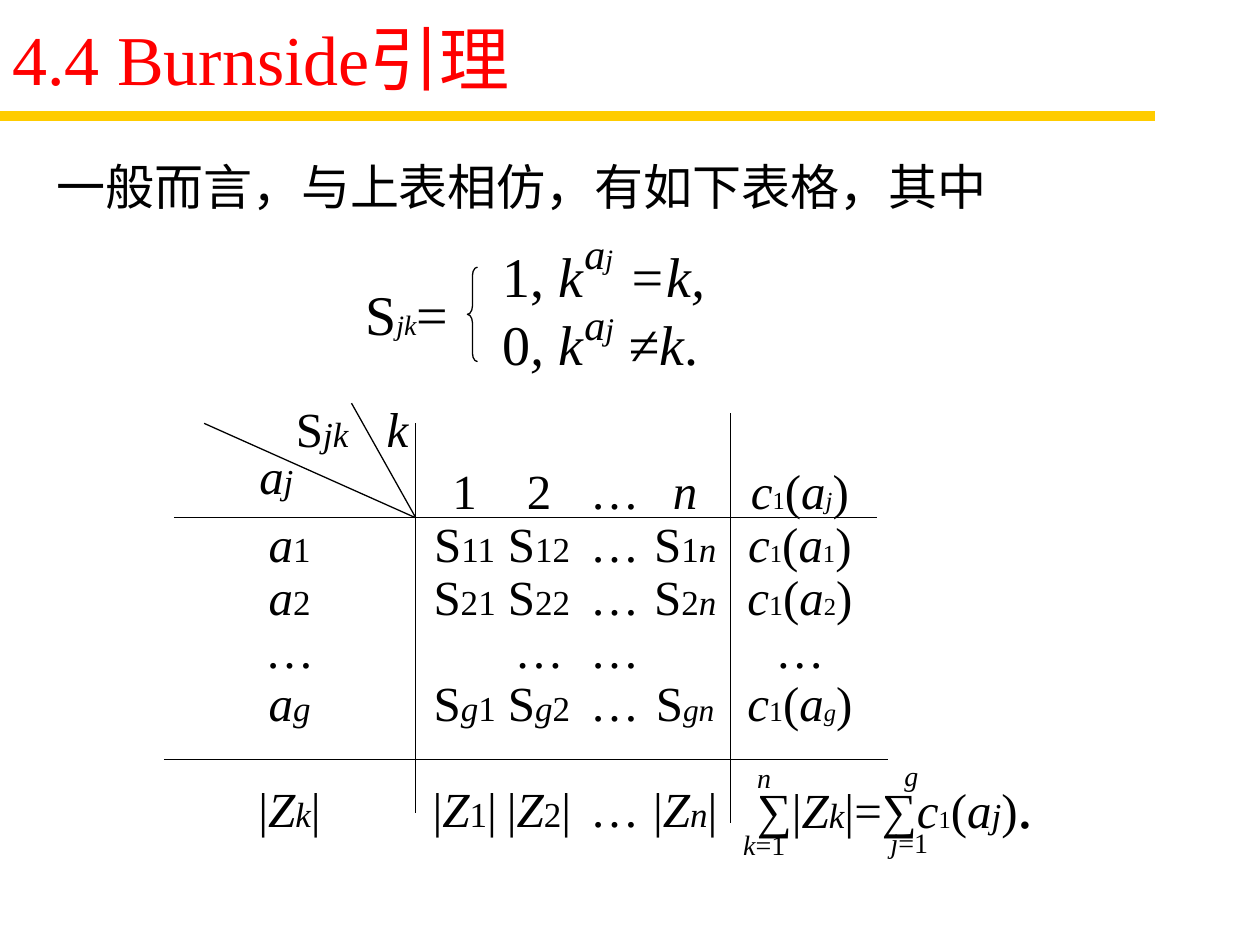
from lxml import etree
from pptx import Presentation
from pptx.dml.color import RGBColor
from pptx.enum.shapes import MSO_CONNECTOR, MSO_SHAPE
from pptx.enum.text import MSO_ANCHOR
from pptx.oxml.ns import qn
from pptx.util import Inches, Pt

FONT = "Times New Roman"
BLACK, RED, GOLD = "000000", "FF0000", "FFCC00"
BODY, SUB, SMALL = 28, 20, 14
TAB = ("\t", BODY, False)


def color(hex_code):
    return RGBColor.from_string(hex_code)


def upright(text, size=BODY):
    return (text, size, False)


def italic(text, size=BODY):
    return (text, size, True)


def fixed_points(a, size=SMALL, ones=SMALL):
    """Runs for c1(a_x), where a is the subscript run."""
    return [italic("c"), upright("1", ones), upright("("), italic("a"),
            (a[0], size, a[2]), upright(")")]


def orbit(index):
    """Runs for |Z_index|."""
    return [upright("|"), italic("Z"), index, upright("|")]


def row(*cells):
    """Put a tab before each cell of a table row."""
    return [run for cell in cells for run in (TAB, *cell)]


def add_tabs(paragraph, stops, align):
    tab_list = etree.SubElement(paragraph._p.get_or_add_pPr(), qn("a:tabLst"))
    for stop in stops:
        etree.SubElement(tab_list, qn("a:tab"), pos=str(Inches(stop)), algn=align)


def add_text(slide, left, top, width, height, lines, *, hex_code=BLACK,
             spacing=None, stops=(), align="l", last_gap=0, anchor=MSO_ANCHOR.TOP):
    box = slide.shapes.add_textbox(Inches(left), Inches(top), Inches(width), Inches(height))
    frame = box.text_frame
    frame.word_wrap = True
    frame.vertical_anchor = anchor
    for number, runs in enumerate(lines):
        paragraph = frame.paragraphs[0] if number == 0 else frame.add_paragraph()
        if spacing:
            paragraph.line_spacing = spacing
        if last_gap and number == len(lines) - 1:
            paragraph.space_before = Pt(last_gap)
        if stops:
            add_tabs(paragraph, stops, align)
        for text, size, slanted in runs:
            run = paragraph.add_run()
            run.text = text
            run.font.name = FONT
            run.font.size = Pt(size)
            run.font.italic = slanted
            run.font.color.rgb = color(hex_code)


def add_line(slide, x1, y1, x2, y2, hex_code=BLACK, weight=0.75):
    line = slide.shapes.add_connector(
        MSO_CONNECTOR.STRAIGHT, Inches(x1), Inches(y1), Inches(x2), Inches(y2))
    line.line.color.rgb = color(hex_code)
    line.line.width = Pt(weight)
    etree.SubElement(line._element.spPr, qn("a:effectLst"))


def add_brace(slide, left, top, width, height):
    brace = slide.shapes.add_shape(
        MSO_SHAPE.LEFT_BRACE, Inches(left), Inches(top), Inches(width), Inches(height))
    brace.adjustments[0] = 0.83
    brace.fill.background()
    brace.line.color.rgb = color(BLACK)
    brace.line.width = Pt(0.75)
    brace.shadow.inherit = False


def add_definition(slide):
    add_text(slide, 2.8, 2.17, 1, 0.64,
             [[upright("S", 32), italic("jk", 16), upright("=", 32)]])
    add_brace(slide, 3.71, 2.12, 0.08, 0.75)
    add_text(slide, 3.89, 1.87, 1.95, 1.17, [
        [upright("1, ", 32), italic("k\t=k,", 32)],
        [upright("0", 32), italic(", k\t≠k", 32), upright(".", 32)],
    ], stops=[1])
    add_text(slide, 4.54, 1.59, 0.55, 1.22,
             [[italic("a", 24), italic("j", size)] for size in (16, 18)],
             spacing=Pt(40.6))


def add_rules(slide):
    for x1, y1, x2, y2 in [
        (1.38, 4.11, 6.96, 4.11), (1.3, 6.03, 7.05, 6.03),  # across
        (3.3, 3.36, 3.3, 6.45), (5.8, 3.28, 5.8, 6.53),     # down
        (1.62, 3.36, 3.3, 4.11), (2.79, 3.2, 3.3, 4.11),    # corner diagonals
    ]:
        add_line(slide, x1, y1, x2, y2)


def add_matrix(slide):
    dots = [upright("…")]

    def matrix_row(index, last_size=SUB, ones=SMALL):
        def entry(column):
            return [upright("S"), index, column]
        return row([italic("a"), index], entry(upright("1", SUB)),
                   entry(upright("2", SUB)), dots,
                   [upright("S"), (index[0], last_size, index[2]), italic("n", last_size)],
                   fixed_points(index, ones=ones))

    header = row([], [upright("1")], [upright("2")], dots, [italic("n")],
                 fixed_points(italic("j")))
    totals = row(orbit(italic("k", SUB)), orbit(upright("1", SUB)),
                 orbit(upright("2", SUB)), dots, orbit(italic("n", SUB)))
    add_text(slide, 1.46, 3.65, 5.83, 3.17, [
        header,
        matrix_row(upright("1", SUB)),
        matrix_row(upright("2", SUB), ones=16),
        row(dots, [], dots, dots, [], dots),
        matrix_row(italic("g", SUB), last_size=18, ones=16),
        totals,
    ], spacing=Pt(30.3), last_gap=30.3, align="ctr",
        stops=[0.74, 2.13, 2.72, 3.32, 3.88, 4.79])

    # Corner labels
    add_text(slide, 1.96, 3.2, 1.5, 0.85, [
        [TAB, upright("S"), italic("jk", SUB), TAB, italic("k")],
        [italic("a"), italic("j", SUB)],
    ], spacing=0.8, stops=[0.29, 1.01])


def add_sums(slide):
    add_text(slide, 5.91, 6.03, 2.6, 0.7, [
        [upright("∑"), *orbit(italic("k", SUB)), upright("=∑"),
         *fixed_points(italic("j"), size=SUB), upright(".", 36)]])
    for left, top, upper, index in [(5.8, 5.99, "n", "k"), (6.97, 5.97, "g", "j")]:
        add_text(slide, left, top, 0.65, 0.9, [
            [upright("\t", 16), italic(upper, 16)],
            [italic(index, 16), upright("=1", 16)],
        ], stops=[0.11], last_gap=19)


def main():
    deck = Presentation()
    deck.slide_width, deck.slide_height = Inches(10), Inches(7.5)
    slide = deck.slides.add_slide(deck.slide_layouts[6])

    # Title and introduction
    add_text(slide, 0, 0, 5.17, 0.92, [[upright("4.4 Burnside引理", 40)]],
             hex_code=RED, anchor=MSO_ANCHOR.MIDDLE)
    add_line(slide, 0, 0.92, 9.17, 0.92, GOLD, 6)
    add_text(slide, 0.35, 1.19, 8.74, 0.57,
             [[upright("一般而言，与上表相仿，有如下表格，其中")]])

    # Formula, table and sums
    add_definition(slide)
    add_rules(slide)
    add_matrix(slide)
    add_sums(slide)
    deck.save("out.pptx")


if __name__ == "__main__":
    main()
